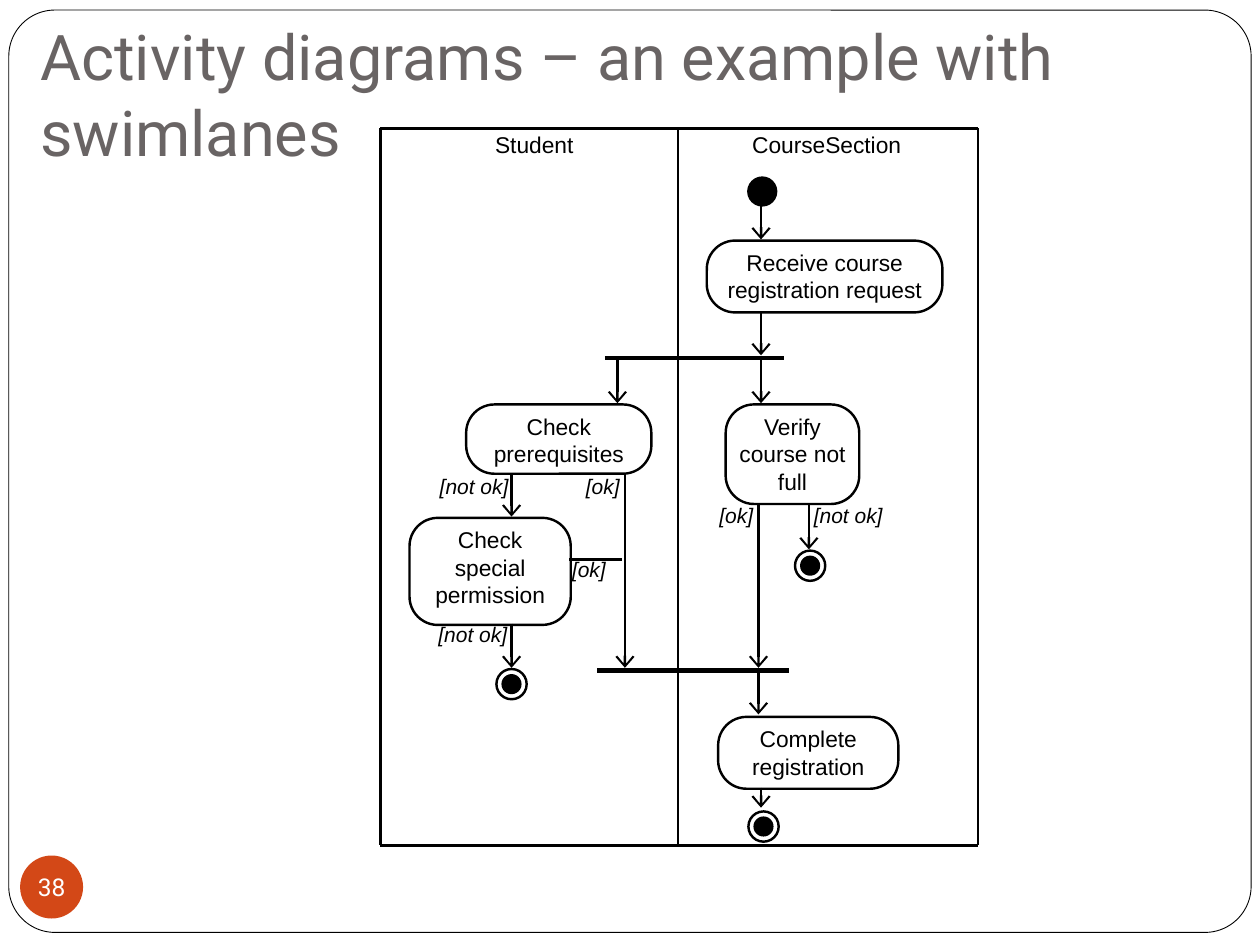
"""Build a slide with a swimlane activity diagram for course registration."""
from lxml import etree
from pptx import Presentation
from pptx.dml.color import RGBColor
from pptx.enum.shapes import MSO_CONNECTOR, MSO_SHAPE
from pptx.enum.text import MSO_ANCHOR, PP_ALIGN
from pptx.oxml.ns import qn
from pptx.util import Inches, Pt

LINE = MSO_CONNECTOR.STRAIGHT
ROUND, OVAL = MSO_SHAPE.ROUNDED_RECTANGLE, MSO_SHAPE.OVAL
TOP, MID, BASE = MSO_ANCHOR.TOP, MSO_ANCHOR.MIDDLE, MSO_ANCHOR.BOTTOM
LEFT, MIDST = PP_ALIGN.LEFT, PP_ALIGN.CENTER

HUES = {"ink": "000000", "paper": "FFFFFF", "title": "696464", "badge": "D34817"}
THIN, BOLD = 1.38, 2.63
CURVE = 0.225

TITLE = "Activity diagrams – an example with swimlanes"
PAGE = "38"
LANES = [3.02, 5.38, 7.76]
ENDS = [1.02, 6.71]
HEADS = [("Student", 3.93, 1.04), ("CourseSection", 5.97, 1.04)]
STEPS = [
    (["Receive course", "registration request"], (5.61, 1.91, 1.87, 0.57)),
    (["Check", "prerequisites"], (3.7, 3.21, 1.47, 0.55)),
    (["Verify", "course not", "full"], (5.76, 3.21, 1.06, 0.79)),
    (["Check", "special", "permission"], (3.25, 4.11, 1.28, 0.85)),
    (["Complete", "registration"], (5.7, 5.69, 1.43, 0.57)),
]
BARS = [(4.8, 6.22, 2.84), (4.74, 6.26, 5.32)]
FLOWS = [
    (6.04, 1.55, 1.9), (6.04, 2.47, 2.82), (4.9, 2.86, 3.2), (6.04, 2.86, 3.2),
    (4.06, 3.76, 4.1), (4.96, 3.76, 5.3), (6.02, 4.01, 5.3), (6.42, 4.01, 4.36),
    (4.06, 4.95, 5.3), (6.02, 5.32, 5.67), (6.04, 6.25, 6.41),
]
MERGE = (4.52, 4.44, 4.94, 4.44)
GUARDS = [
    ("[not ok]", 3.49, 3.76), ("[ok]", 4.65, 3.76), ("[ok]", 5.71, 3.99),
    ("[not ok]", 6.46, 3.99), ("[ok]", 4.54, 4.42), ("[not ok]", 3.48, 4.93),
]
START = (6.05, 1.52)
STOPS = [(4.06, 5.43), (6.43, 4.49), (6.06, 6.56)]


def tint(name):
    return RGBColor.from_string(HUES[name])


def write(shape, lines, size, hue="ink", font="Arial", align=MIDST,
          anchor=TOP, slant=False, pads=(0, 0, 0, 0), wrap=True):
    frame = shape.text_frame
    frame.word_wrap = wrap
    frame.vertical_anchor = anchor
    (frame.margin_left, frame.margin_top,
     frame.margin_right, frame.margin_bottom) = map(Inches, pads)
    for num, line in enumerate(lines):
        para = frame.add_paragraph() if num else frame.paragraphs[0]
        para.alignment = align
        run = para.add_run()
        run.text = line
        run.font.size = Pt(size)
        run.font.name = font
        run.font.italic = slant
        run.font.color.rgb = tint(hue)


def draw(slide, kind, box, fill=None, width=None):
    shape = slide.shapes.add_shape(kind, *map(Inches, box))
    shape.shadow.inherit = False
    if fill:
        shape.fill.solid()
        shape.fill.fore_color.rgb = tint(fill)
    else:
        shape.fill.background()
    if width:
        shape.line.color.rgb = tint("ink")
        shape.line.width = Pt(width)
    else:
        shape.line.fill.background()
    return shape


def disc(slide, mid, size, fill=None, width=None):
    x, y = mid
    box = (x - size / 2, y - size / 2, size, size)
    return draw(slide, OVAL, box, fill, width)


def link(slide, ends, width=THIN, head=False):
    line = slide.shapes.add_connector(LINE, *map(Inches, ends))
    line.line.color.rgb = tint("ink")
    line.line.width = Pt(width)
    props = line.line._get_or_add_ln()
    if head:
        etree.SubElement(props, qn("a:tailEnd"), type="arrow", w="lg", len="med")
    etree.SubElement(props.getparent(), qn("a:effectLst"))


def label(slide, text, x, y, width, size, slant=False):
    box = slide.shapes.add_textbox(*map(Inches, (x, y, width, 0.28)))
    write(box, [text], size, align=LEFT, slant=slant)


def base(slide):
    rim = draw(slide, ROUND, (0.07, 0.08, 9.86, 7.32), width=0.5)
    rim.adjustments[0] = 0.05
    badge = draw(slide, OVAL, (0.16, 6.79, 0.5, 0.5), "badge")
    write(badge, [PAGE], 14, "paper", "Roboto", anchor=MID, wrap=False)
    title = slide.shapes.title
    title.left, title.top, title.width, title.height = map(
        Inches, (0.22, 0.19, 8.5, 1.25))
    write(title, [TITLE], 36, "title", "Roboto", LEFT, BASE,
          pads=(0.1, 0.05, 0.1, 0.1))


def chart(slide):
    for x in LANES:
        link(slide, (x, ENDS[0], x, ENDS[1]))
    for y in ENDS:
        link(slide, (LANES[0], y, LANES[-1], y))
    for text, x, y in HEADS:
        label(slide, text, x, y, 1.4, 13)
    for lines, box in STEPS:
        step = draw(slide, ROUND, box, "paper", THIN)
        step.adjustments[0] = CURVE / min(box[2:])
        write(step, lines, 13, wrap=False)
    for x, end, y in BARS:
        link(slide, (x, y, end, y), BOLD)
    for x, y, end in FLOWS:
        link(slide, (x, y, x, end), head=True)
    link(slide, MERGE)
    for text, x, y in GUARDS:
        label(slide, text, x, y, 0.66, 12, True)
    disc(slide, START, 0.24, "ink")
    for mid in STOPS:
        disc(slide, mid, 0.24, width=THIN)
        disc(slide, mid, 0.16, "ink")


def main():
    deck = Presentation()
    deck.slide_width, deck.slide_height = Inches(10), Inches(7.5)
    slide = deck.slides.add_slide(deck.slide_layouts[5])
    base(slide)
    chart(slide)
    deck.save("out.pptx")


if __name__ == "__main__":
    main()
